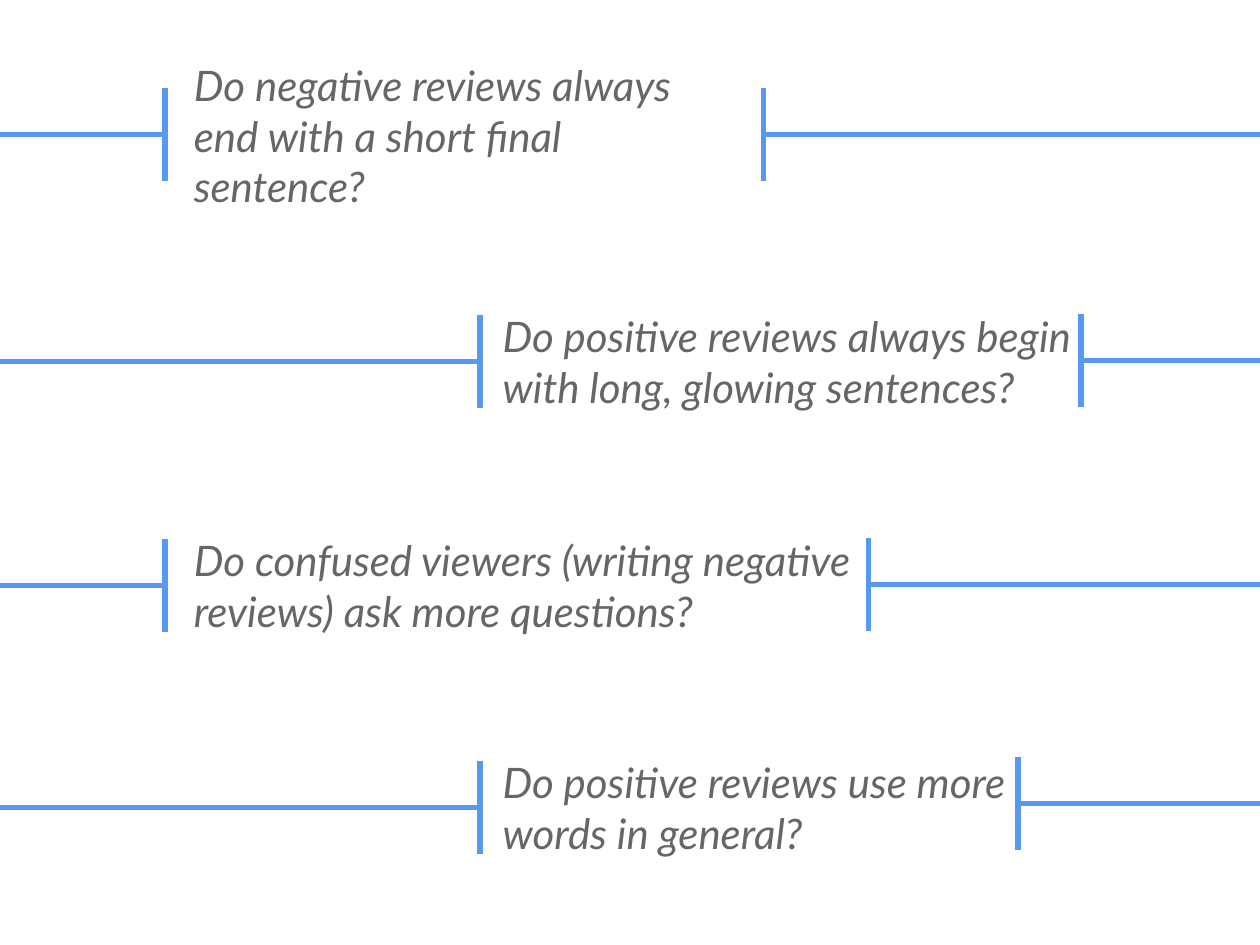
from lxml import etree
from pptx import Presentation
from pptx.dml.color import RGBColor
from pptx.enum import shapes, text
from pptx.oxml import ns
from pptx.util import Pt

COLORS = {"rule": "5898F1", "question": "666666"}
PAGE_WIDTH, PAGE_HEIGHT = 720, 540
TICK_HEIGHT = 53.3

QUESTIONS = [
    ("Do negative reviews always end with a short final sentence?",
     (103.7, 37.4, 324, 79.9), (94.3, 77), (436.3, 77)),
    ("Do positive reviews always begin with long, glowing sentences?",
     (280.1, 168.5, 347.8, 75.6), (274.3, 206.4), (617.8, 206.2)),
    ("Do positive reviews use more words in general?",
     (280.1, 425.5, 355, 71.3), (274.3, 461.5), (581.8, 459)),
    ("Do confused viewers (writing negative reviews) ask more questions?",
     (103.7, 294.5, 393.1, 79.9), (94.3, 334.4), (496.1, 334.1)),
]


class QuestionPage:
    font_format = {"name": "Lato", "size": Pt(24), "italic": True}
    frame_format = {
        "word_wrap": True,
        "vertical_anchor": text.MSO_ANCHOR.MIDDLE,
        "margin_left": Pt(7.2),
        "margin_right": Pt(7.2),
        "margin_top": Pt(7.2),
        "margin_bottom": Pt(7.2),
    }
    rule_width = Pt(3)

    def __init__(self, page):
        self.page = page

    def apply(self, target, values):
        for name, value in values.items():
            setattr(target, name, value)

    def text(self, group, wording, area):
        box = group.shapes.add_textbox(*map(Pt, area))
        self.apply(box.text_frame, self.frame_format)
        span = box.text_frame.paragraphs[0].add_run()
        span.text = wording
        self.apply(span.font, self.font_format)
        span.font.color.rgb = RGBColor.from_string(COLORS["question"])

    def line(self, group, start, end):
        rule = group.shapes.add_connector(
            shapes.MSO_CONNECTOR.STRAIGHT, *map(Pt, (*start, *end)))
        rule.line.width = self.rule_width
        rule.line.color.rgb = RGBColor.from_string(COLORS["rule"])
        properties = rule._element.find(ns.qn("p:spPr"))
        etree.SubElement(properties, ns.qn("a:effectLst"))

    def bracket(self, group, middle, edge):
        x, y = middle
        self.line(group, (x, y - TICK_HEIGHT / 2), (x, y + TICK_HEIGHT / 2))
        self.line(group, (x, y), (edge, y))

    def question(self, wording, area, left, right):
        group = self.page.shapes.add_group_shape()
        self.text(group, wording, area)
        self.bracket(group, left, 0)
        self.bracket(group, right, PAGE_WIDTH)


def main():
    deck = Presentation()
    deck.slide_width, deck.slide_height = Pt(PAGE_WIDTH), Pt(PAGE_HEIGHT)
    page = QuestionPage(deck.slides.add_slide(deck.slide_layouts[6]))
    for question in QUESTIONS:
        page.question(*question)
    deck.save("out.pptx")


if __name__ == "__main__":
    main()
